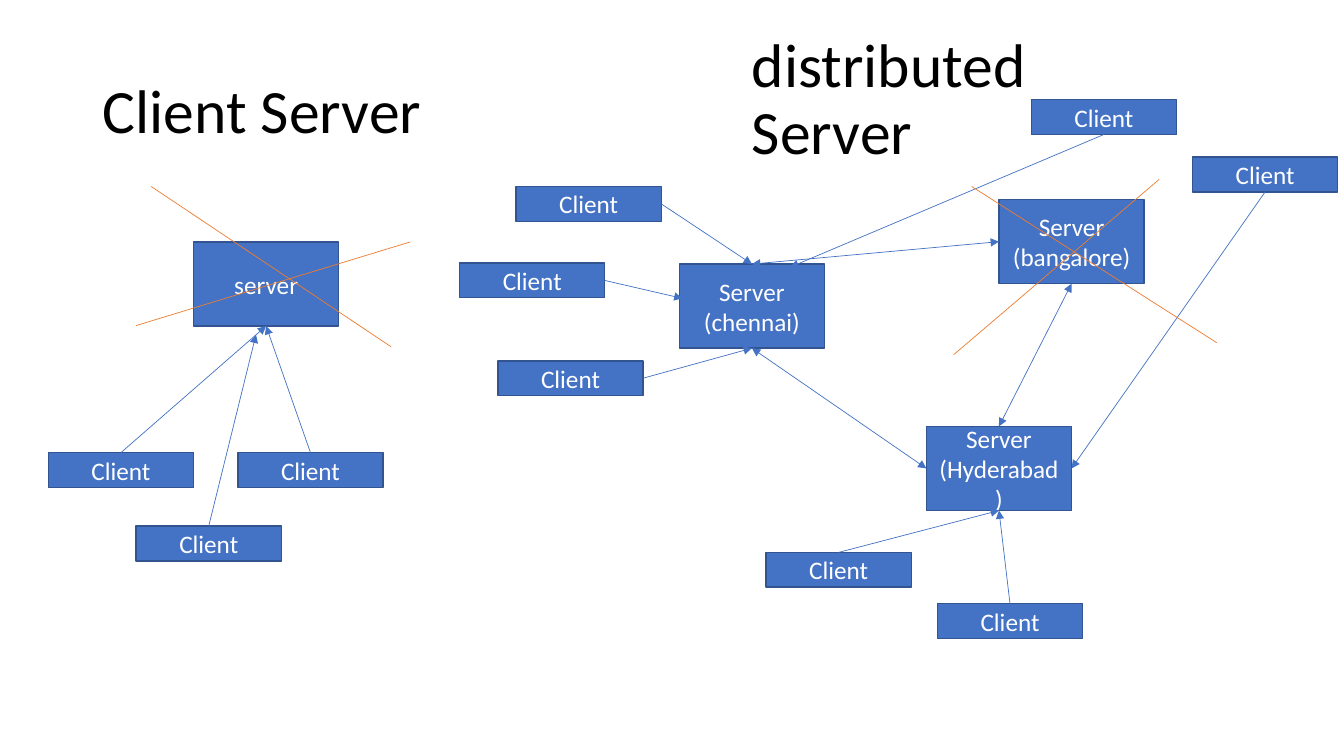
"""Build a slide comparing a client-server network with a distributed one."""
from dataclasses import dataclass

from lxml.etree import SubElement
from pptx import Presentation
from pptx.dml.color import RGBColor as RGB
from pptx.enum.shapes import MSO_CONNECTOR as CONN, MSO_SHAPE as SHAPE
from pptx.enum.text import MSO_ANCHOR as ANCHOR, MSO_AUTO_SIZE as FIT, PP_ALIGN as ALIGN
from pptx.oxml.ns import qn
from pptx.util import Inches, Pt


@dataclass(frozen=True)
class Theme:
    font: str = "Calibri"
    ink: RGB = RGB(0x00, 0x00, 0x00)
    paper: RGB = RGB(0xFF, 0xFF, 0xFF)
    box: RGB = RGB(0x44, 0x72, 0xC4)
    border: RGB = RGB(0x32, 0x54, 0x91)
    strike: RGB = RGB(0xED, 0x7D, 0x31)
    heading: Pt = Pt(44)
    label: Pt = Pt(18)
    border_width: Pt = Pt(1)
    line_width: Pt = Pt(0.5)


theme = Theme()
prs = Presentation()
prs.slide_width, prs.slide_height = Inches(13.33), Inches(7.5)
COL, ROW = prs.slide_width / 100, prs.slide_height / 100
TOP, LEFT, BOTTOM, RIGHT = range(4)
s = prs.slides.add_slide(prs.slide_layouts[5])


def write(sp, text, size, color, align):
    tf = sp.text_frame
    tf.text = text
    tf.word_wrap = True
    tf.auto_size = FIT.NONE
    tf.vertical_anchor = ANCHOR.MIDDLE
    for p in tf.paragraphs:
        p.alignment = align
        for r in p.runs:
            r.font.name, r.font.size, r.font.color.rgb = theme.font, size, color


def draw_line(x1, y1, x2, y2, color, ends=()):
    line = s.shapes.add_connector(
        CONN.STRAIGHT, int(x1 * COL), int(y1 * ROW), int(x2 * COL), int(y2 * ROW))
    line.line.color.rgb = color
    line.line.width = theme.line_width
    for end in ends:
        SubElement(line.line._get_or_add_ln(), qn(f"a:{end}"), type="triangle")
    SubElement(line._element.spPr, qn("a:effectLst"))
    return line


headings = [
    (s.shapes.title, "Client Server", 6.9, 5.33),
    (s.shapes.add_textbox(0, 0, 0, 0), "distributed Server", 55.2, 3.73),
]
for sp, text, x, y in headings:
    sp.left, sp.top = int(x * COL), int(y * ROW)
    sp.width, sp.height = int(27.4 * COL), int(19.33 * ROW)
    write(sp, text, theme.heading, theme.ink, ALIGN.LEFT)
    sp.text_frame.paragraphs[0].line_spacing = 0.9

SERVER_SIZE = (10.8, 11.13)
CLIENT_SIZE = (10.8, 4.6)
servers = {
    "central": ("server", 14.4, 32),
    "chennai": ("Server\n(chennai)", 50.55, 34.93),
    "bangalore": ("Server\n(bangalore)", 74.33, 26.4),
    "hyderabad": ("Server\n(Hyderabad)", 68.93, 56.4),
}
clients = {
    "central left": (3.6, 59.87),
    "central right": (17.7, 59.87),
    "central low": (10.13, 69.6),
    "chennai high": (38.4, 24.67),
    "chennai middle": (34.2, 34.8),
    "chennai low": (37.05, 47.73),
    "chennai far": (76.73, 13.2),
    "hyderabad left": (57, 73.07),
    "hyderabad low": (69.75, 79.87),
    "hyderabad far": (88.73, 20.8),
}
nodes = [(name, *server, SERVER_SIZE) for name, server in servers.items()]
nodes += [(name, "Client", *spot, CLIENT_SIZE) for name, spot in clients.items()]

boxes = {}
for name, text, x, y, (w, h) in nodes:
    sp = s.shapes.add_shape(
        SHAPE.RECTANGLE, int(x * COL), int(y * ROW), int(w * COL), int(h * ROW))
    sp.shadow.inherit = False
    sp.fill.solid()
    sp.fill.fore_color.rgb = theme.box
    sp.line.color.rgb = theme.border
    sp.line.width = theme.border_width
    write(sp, text, theme.label, theme.paper, ALIGN.CENTER)
    boxes[name] = sp

ONE_WAY, BOTH_WAYS = ("tailEnd",), ("headEnd", "tailEnd")
links = [
    ("central left", TOP, "central", BOTTOM, ONE_WAY),
    ("central right", TOP, "central", BOTTOM, ONE_WAY),
    ("chennai", BOTTOM, "hyderabad", LEFT, BOTH_WAYS),
    ("chennai", TOP, "bangalore", LEFT, BOTH_WAYS),
    ("bangalore", BOTTOM, "hyderabad", TOP, BOTH_WAYS),
    ("chennai high", RIGHT, "chennai", TOP, ONE_WAY),
    ("chennai low", RIGHT, "chennai", BOTTOM, ONE_WAY),
    ("hyderabad far", BOTTOM, "hyderabad", RIGHT, ONE_WAY),
    ("hyderabad left", TOP, "hyderabad", BOTTOM, ONE_WAY),
    ("hyderabad low", TOP, "hyderabad", BOTTOM, ONE_WAY),
]
for start, start_side, end, end_side, ends in links:
    line = draw_line(0, 0, 1, 1, theme.box, ends)
    line.begin_connect(boxes[start], start_side)
    line.end_connect(boxes[end], end_side)

loose_links = [
    ("central low", TOP, 19.05, 44.27),
    ("chennai middle", RIGHT, 50.78, 39.47),
    ("chennai far", BOTTOM, 58.8, 35.33),
]
for start, side, x, y in loose_links:
    line = draw_line(0, 0, x, y, theme.box, ONE_WAY)
    line.begin_connect(boxes[start], side)

strikes = [
    (10.13, 43.07, 30.53, 32),
    (11.25, 24.67, 29.1, 45.87),
    (72.3, 24.67, 90.53, 45.33),
    (70.95, 46.93, 86.25, 23.73),
]
for strike in strikes:
    draw_line(*strike, theme.strike)

prs.save("out.pptx")
